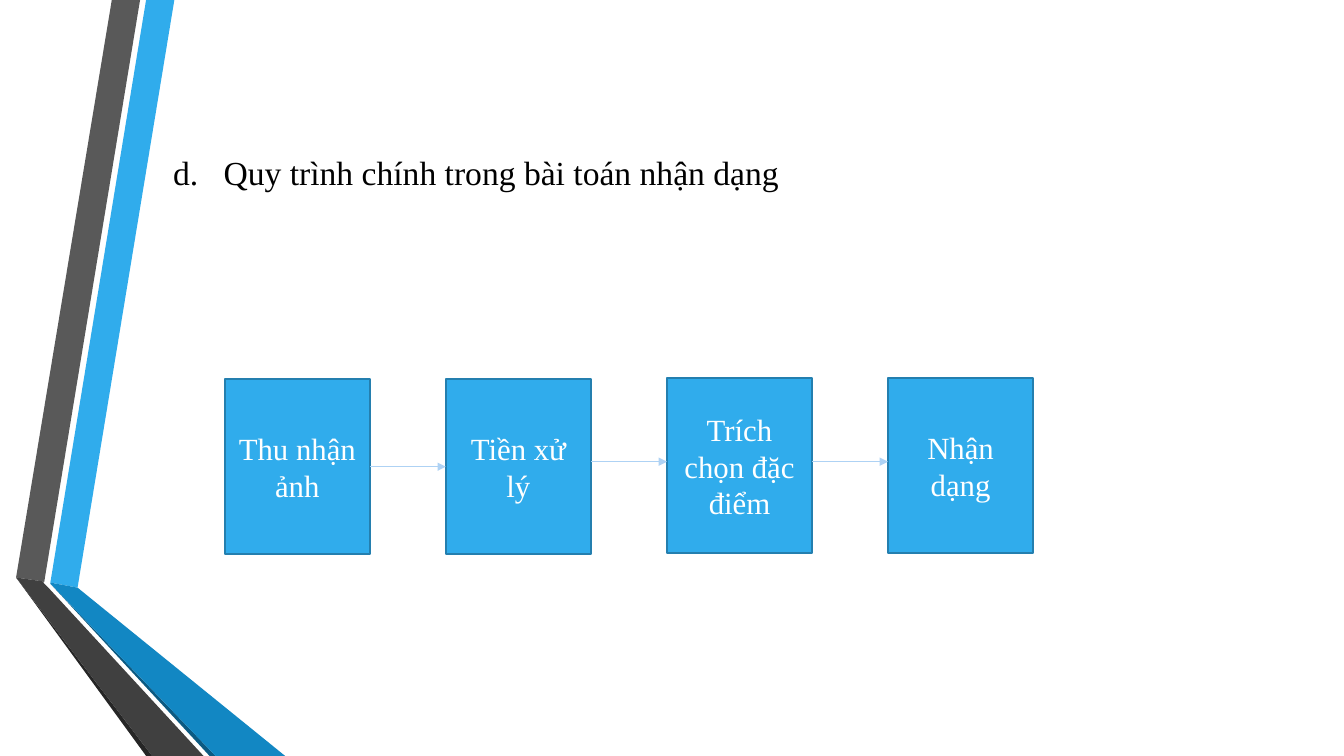
from lxml.etree import SubElement
from pptx import Presentation
from pptx.dml.color import RGBColor
from pptx.enum.shapes import MSO_CONNECTOR, MSO_SHAPE
from pptx.enum.text import MSO_ANCHOR, PP_ALIGN
from pptx.oxml.ns import qn
from pptx.util import Pt

PX = 9144
FONT = "Times New Roman"
TITLE = "Quy trình chính trong bài toán nhận dạng"
STEPS = [("Thu nhận ảnh", 376), ("Tiền xử lý", 376),
         ("Trích chọn đặc điểm", 375), ("Nhận dạng", 375)]
LINKS = [463, 458, 458]
LEFT, PITCH, WIDE, HIGH = 223, 219.33, 144, 174
BANDS = [
    ("30ACEC", [(50, 578), (77, 583), (173, 0), (145, 0)]),
    ("595959", [(139, 0), (111, 0), (16, 573), (44, 577)]),
    ("262626", [(16, 573), (145, 750), (151, 750)]),
    ("0C5A82", [(50, 579), (208, 750), (214, 750)]),
    ("1287C3", [(50, 579), (214, 750), (283, 750), (77, 583), (50, 578)]),
    ("404040", [(202, 750), (48, 583), (43, 578), (44, 577), (16, 573), (151, 750)]),
]


def emu(*vals):
    return [round(v * PX) for v in vals]


def color(code):
    return RGBColor.from_string(code)


def paint(shape, fill, line=None):
    shape.shadow.inherit = False
    shape.fill.solid()
    shape.fill.fore_color.rgb = color(fill)
    if line:
        shape.line.color.rgb = color(line)
        shape.line.width = Pt(1.25)
    else:
        shape.line.fill.background()


def write(shape, text, size=22, ink="FFFFFF", align=PP_ALIGN.CENTER):
    frame = shape.text_frame
    frame.word_wrap = True
    frame.vertical_anchor = MSO_ANCHOR.MIDDLE
    para = frame.paragraphs[0]
    para.alignment = align
    run = para.add_run()
    run.text = text
    run.font.size = Pt(size)
    run.font.name = FONT
    run.font.color.rgb = color(ink)
    return para


def number(para, start):
    props = para._p.get_or_add_pPr()
    indent = 50 * PX
    props.set("marL", str(indent))
    props.set("indent", str(-indent))
    SubElement(props, qn("a:buFont"), typeface=FONT)
    SubElement(props, qn("a:buAutoNum"), type="alphaLcPeriod", startAt=str(start))


def arrow(shapes, x1, x2, y):
    link = shapes.add_connector(MSO_CONNECTOR.STRAIGHT, *emu(x1, y, x2, y))
    link.line.color.rgb = color("AED2F4")
    link.line.width = Pt(0.75)
    SubElement(link.line._get_or_add_ln(), qn("a:tailEnd"), type="triangle")
    SubElement(link._element.spPr, qn("a:effectLst"))


def main():
    deck = Presentation()
    deck.slide_width, deck.slide_height = emu(1333.33, 750)
    shapes = deck.slides.add_slide(deck.slide_layouts[6]).shapes

    for fill, points in BANDS:
        pen = shapes.build_freeform(*points[0], scale=PX)
        pen.add_line_segments(points[1:], close=True)
        paint(pen.convert_to_shape(), fill)

    title = shapes.add_textbox(*emu(162, 75, 1096, 192))
    number(write(title, TITLE, size=24, ink="000000", align=PP_ALIGN.LEFT), 4)

    for i, (text, top) in enumerate(STEPS):
        box = shapes.add_shape(MSO_SHAPE.RECTANGLE,
                               *emu(LEFT + i * PITCH, top, WIDE, HIGH))
        paint(box, "30ACEC", "247FAF")
        write(box, text)

    for i, y in enumerate(LINKS):
        x = LEFT + i * PITCH
        arrow(shapes, x + WIDE, x + PITCH, y)

    deck.save("out.pptx")


if __name__ == "__main__":
    main()
